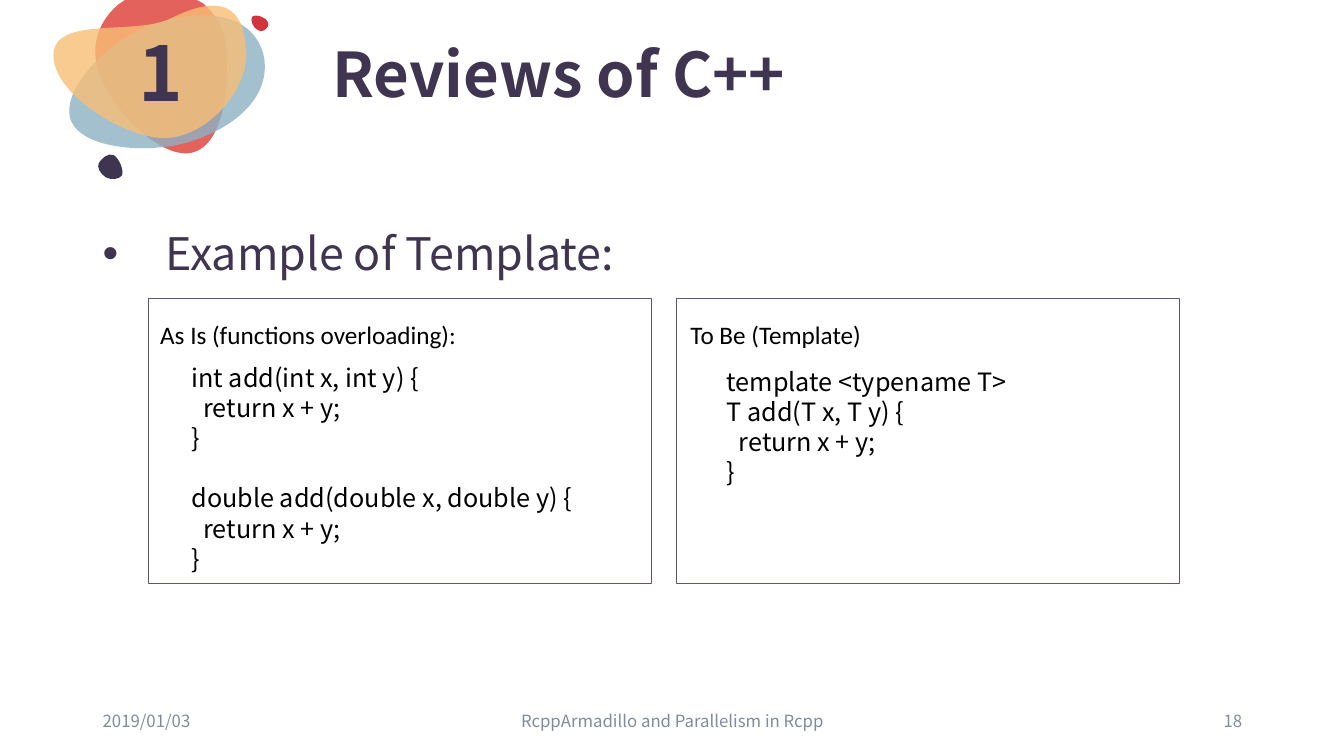
import pptx
import pptx.util
import pptx.dml.color
import pptx.enum.shapes
import pptx.enum.text
import pptx.oxml.ns
from lxml import etree

Pt = pptx.util.Pt
RGB = pptx.dml.color.RGBColor.from_string
ALIGN = pptx.enum.text.PP_ALIGN
ANCHOR = pptx.enum.text.MSO_ANCHOR
qn = pptx.oxml.ns.qn

THEME = {
    "ink": "403551", "code": "000000", "muted": "848B98", "frame": "615474",
    "coral": "E4625C", "sky": "8DB1C4", "amber": "F9BE75", "red": "D0343C",
    "font": "Noto Sans CJK SC", "label_font": "Calibri",
    "title": 44, "number": 54, "bullet": 32, "body": 18, "footer": 12,
    "code_line": Pt(21.6),
}

# The page is a grid of 1333 columns by 750 rows of square cells.
CELL = pptx.util.Inches(0.01)
COLUMNS, ROWS = 1333, 750

deck = pptx.Presentation()
deck.slide_width, deck.slide_height = COLUMNS * CELL, ROWS * CELL
page = deck.slides.add_slide(deck.slide_layouts[6])


def add_blob(place, start, segments, color, opacity=100):
    """Draw a closed outline; a segment is a line end or three cubic Bezier points."""
    left, top, width, height = place
    builder = page.shapes.build_freeform(left, top, scale=CELL)
    builder.add_line_segments([(left + width, top + height)], close=True)
    blob = builder.convert_to_shape()
    outline = next(blob._element.iter(qn("a:path")))
    for command in list(outline):
        outline.remove(command)
    for segment in [start, *segments]:
        tag = "a:moveTo" if segment is start else "a:lnTo"
        command = etree.SubElement(outline, qn("a:cubicBezTo" if len(segment) == 6 else tag))
        for x, y in zip(segment[::2], segment[1::2]):
            point = etree.SubElement(command, qn("a:pt"))
            point.set("x", str(x - left))
            point.set("y", str(y - top))
    etree.SubElement(outline, qn("a:close"))
    blob.shadow.inherit = False
    blob.fill.solid()
    blob.fill.fore_color.rgb = RGB(THEME[color])
    blob.line.fill.background()
    if opacity < 100:
        tint = next(blob._element.spPr.iter(qn("a:srgbClr")))
        etree.SubElement(tint, qn("a:alpha")).set("val", str(opacity * 1000))


def add_text(place, lines, size, color, font="font", bold=False,
             anchor=ANCHOR.TOP, wrap=True, **paragraph_format):
    box = page.shapes.add_textbox(*(length * CELL for length in place))
    frame = box.text_frame
    frame.word_wrap, frame.vertical_anchor = wrap, anchor
    for index, line in enumerate(lines):
        para = frame.paragraphs[0] if index == 0 else frame.add_paragraph()
        for name, value in paragraph_format.items():
            setattr(para, name, value)
        span = para.add_run()
        span.text = line
        formats = {"name": THEME[font], "size": Pt(THEME[size]), "bold": bold}
        for name, value in formats.items():
            setattr(span.font, name, value)
        span.font.color.rgb = RGB(THEME[color])
    return frame.paragraphs


# Cluster of blobs behind the section number
add_blob((94, 0, 131, 152), (124, 0),
         [(195, 0), (201, 3), (214, 14, 223, 29, 224, 46),
          (228, 81, 223, 148, 187, 152), (151, 155, 98, 94, 95, 59),
          (92, 37, 102, 17, 118, 4)], "coral")
add_blob((69, 15, 194, 132), (71, 121),
         [(82, 144, 129, 151, 169, 145), (208, 139, 270, 109, 262, 57),
          (258, 36, 236, -1, 155, 23), (110, 37, 57, 90, 71, 121)], "sky", 80)
add_blob((53, 6, 191, 131), (53, 55),
         [(53, 94, 124, 137, 163, 137), (202, 137, 244, 94, 244, 55),
          (244, 15, 228, -11, 170, 18), (135, 36, 53, 15, 53, 55)], "amber", 80)
add_blob((97, 153, 24, 24), (121, 174),
         [(123, 170, 119, 158, 113, 154), (107, 151, 100, 158, 98, 162),
          (96, 166, 99, 172, 105, 176), (111, 179, 118, 178, 121, 174)], "ink")
add_blob((249, 15, 16, 16), (250, 17),
         [(248, 20, 251, 28, 256, 30), (260, 33, 264, 29, 266, 26),
          (267, 23, 265, 19, 260, 17), (256, 15, 251, 15, 250, 17)], "red")

# Heading and bullet
add_text((320, 15, 922, 124), ["Reviews of C++"], "title", "ink", bold=True,
         anchor=ANCHOR.MIDDLE, line_spacing=0.9)
bullet = add_text((92, 225, 1150, 346), ["Example of Template:"], "bullet", "ink",
                  line_spacing=0.9, space_before=Pt(10), space_after=Pt(12))[0]
properties = bullet._p.get_or_add_pPr()
properties.set("marL", str(62 * CELL))
properties.set("indent", str(-62 * CELL))
etree.SubElement(properties, qn("a:buFont")).set("typeface", "Arial")
etree.SubElement(properties, qn("a:buChar")).set("char", "•")

# Footer
for left, width, text, alignment in [
        (92, 300, "2019/01/03", ALIGN.LEFT),
        (442, 450, "RcppArmadillo and Parallelism in Rcpp", ALIGN.CENTER),
        (942, 300, "18", ALIGN.RIGHT)]:
    add_text((left, 695, width, 40), [text], "footer", "muted",
             anchor=ANCHOR.MIDDLE, alignment=alignment)

# Section number
add_text((96, 15, 127, 123), ["1"], "number", "ink", bold=True, anchor=ANCHOR.MIDDLE,
         alignment=ALIGN.CENTER, line_spacing=0.9, space_before=Pt(10), space_after=Pt(12))

# Code panels: label, its place, functions, then the place of the code
add_function = ["int add(int x, int y) {", "return x + y;", "}"]
double_function = ["double add(double x, double y) {", "return x + y;", "}"]
template_function = ["template <typename T>", "T add(T x, T y) {", "return x + y;", "}"]
PANEL_WIDTH, PANEL_PITCH = 499, 524
panels = [
    ("As Is (functions overloading):", 149, 317, [add_function, double_function],
     (180, 354, 499, 252)),
    ("To Be (Template)", 675, 191, [template_function], (711, 358, 341, 131)),
]
for label, label_left, label_width, functions, code_place in panels:
    code = add_text(code_place, sum(functions, []), "body", "code",
                    line_spacing=THEME["code_line"])
    for para in code:
        if para.text.startswith("return"):
            para._p.get_or_add_pPr().set("marL", str(12 * CELL))
    if len(functions) > 1:
        code[len(functions[0])].space_before = THEME["code_line"]
    add_text((label_left, 312, label_width, 40), [label], "body", "code",
             font="label_font", wrap=False)
for column in range(len(panels)):
    panel = page.shapes.add_shape(
        pptx.enum.shapes.MSO_SHAPE.RECTANGLE, (147 + column * PANEL_PITCH) * CELL,
        296 * CELL, PANEL_WIDTH * CELL, 283 * CELL)
    panel.shadow.inherit = False
    panel.fill.background()
    panel.line.color.rgb = RGB(THEME["frame"])
    panel.line.width = Pt(1)

deck.save("out.pptx")
